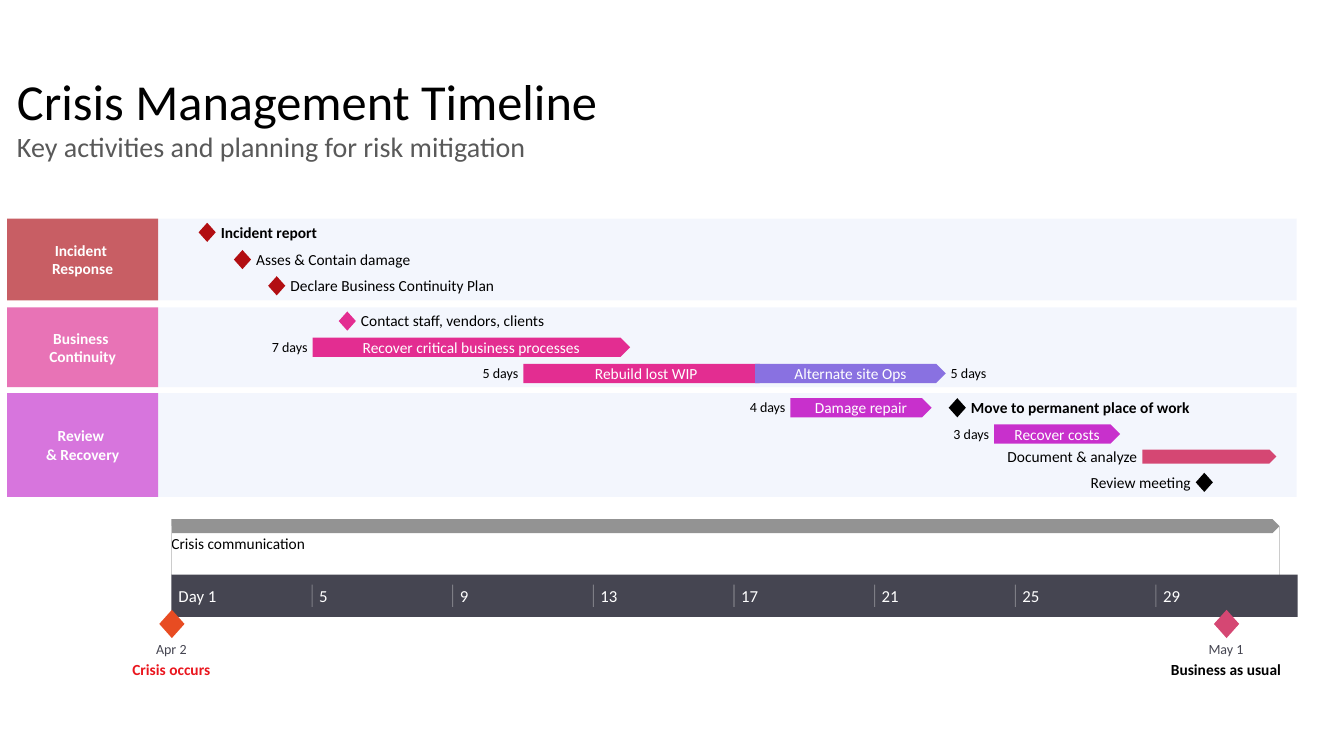
from dataclasses import dataclass

from lxml.etree import SubElement as sub
from pptx import Presentation as Deck
from pptx.dml.color import RGBColor as Rgb
from pptx.enum.shapes import MSO_CONNECTOR as Wire, MSO_SHAPE as Kind
from pptx.enum.text import MSO_ANCHOR as Anchor, PP_ALIGN as Align
from pptx.oxml.ns import qn
from pptx.util import Emu, Pt

PX = 9144  # 100 px to the inch
GAP = 5
LEFT, MID, RIGHT = Align.LEFT, Align.CENTER, Align.RIGHT


@dataclass(frozen=True)
class Theme:
    font: str = "Calibri"
    black: str = "000000"
    white: str = "FFFFFF"
    grey: str = "595959"
    slate: str = "454551"
    steel: str = "939393"
    rule: str = "CCCCCC"
    band: str = "91ACF1"
    red: str = "B20E12"
    pink: str = "E32D91"
    plum: str = "C830CC"
    blue: str = "8971E1"
    rose: str = "D54773"
    flame: str = "E84C22"
    alert: str = "EA161E"
    title: int = 36
    lead: int = 20
    axis: int = 12
    body: int = 11
    small: int = 10


T = Theme()


def emu(*nums):
    return [Emu(round(n * PX)) for n in nums]


def fade(fill, pct):
    """Set the opacity of a solid fill, in percent."""
    tint = fill._xPr.find(qn("a:solidFill"))[0]
    sub(tint, qn("a:alpha"), val=str(pct * 1000))


def draw(slide, kind, box, color, alpha=100):
    shape = slide.shapes.add_shape(kind, *emu(*box))
    shape.shadow.inherit = False
    shape.line.fill.background()
    shape.fill.solid()
    shape.fill.fore_color.rgb = Rgb.from_string(color)
    if alpha < 100:
        fade(shape.fill, alpha)
    return shape


def write(frame, words, size=T.body, color=T.black, bold=False, align=LEFT, wrap=True):
    """Fill a text frame without insets; a newline in words is a line break."""
    frame.word_wrap = wrap
    frame.vertical_anchor = Anchor.MIDDLE
    frame.margin_left = frame.margin_right = frame.margin_top = frame.margin_bottom = 0
    para = frame.paragraphs[0]
    para.alignment = align
    for num, line in enumerate(words.split("\n")):
        if num:
            para.add_line_break()
        run = para.add_run()
        run.text = line
        font = run.font
        font.name, font.size, font.bold = T.font, Pt(size), bold
        font.color.rgb = Rgb.from_string(color)


def label(slide, box, words, **style):
    frame = slide.shapes.add_textbox(*emu(*box)).text_frame
    write(frame, words, **style)
    return frame


def wire(slide, ends, color, alpha=100):
    line = slide.shapes.add_connector(Wire.STRAIGHT, *emu(*ends))
    line.line.width = Pt(0.75)
    line.line.color.rgb = Rgb.from_string(color)
    if alpha < 100:
        fade(line.line.fill, alpha)
    sub(line._element.spPr, qn("a:effectLst"))
    return line


def note(slide, box, words, side, size=T.body, bold=False):
    """Put words beside a box, to its LEFT or its RIGHT."""
    x, y, w, h = box
    wide = len(words) * 7 + 4
    left = x + w + GAP if side == RIGHT else x - GAP - wide
    align = LEFT if side == RIGHT else RIGHT
    label(slide, (left, y + h / 2 - 10, wide, 19), words, size=size, bold=bold, align=align)


def gem(slide, x, y, color, words, side=RIGHT, bold=False):
    box = x, y, 17, 19
    draw(slide, Kind.DIAMOND, box, color)
    note(slide, box, words, side, bold=bold)


def bar(slide, x, y, w, color, words="", h=19, aside="", side=LEFT, size=T.small):
    box = x, y, w, h
    shape = draw(slide, Kind.PENTAGON, box, color)
    if words:
        write(shape.text_frame, words, color=T.white, align=MID, wrap=False)
        # balances the point, which narrows the text area on the right
        shape.text_frame.margin_left = emu(h / 4)[0]
    if aside:
        note(slide, box, aside, side, size)


def lane(slide, box, name, color, parts):
    """A band with its name; each part is (maker, dx, dy, args, options)."""
    x, y, w, h = box
    draw(slide, Kind.RECTANGLE, box, T.band, 10)
    head = draw(slide, Kind.RECTANGLE, (x, y, 150, h), color, 65)
    write(head.text_frame, name, color=T.white, bold=True, align=MID)
    for make, dx, dy, args, opts in parts:
        make(slide, x + dx, y + dy, *args, **opts)


def event(slide, x, y, color, date, words, tone):
    """A large diamond centred on x, with its date and name below."""
    draw(slide, Kind.DIAMOND, (x - 12, y, 25, 28), color)
    label(slide, (x - 25, y + 30, 50, 17), date, size=T.small, color=T.slate, align=MID)
    label(slide, (x - 62, y + 49, 124, 19), words, color=tone, bold=True, align=MID)


def axis(slide, box):
    x, y, w, h = box
    span = draw(slide, Kind.PENTAGON, (x, y - 55, 1099, 14), T.steel)
    label(slide, (x, y - 41, 140, 19), "Crisis communication")
    for site, dx in ((1, 0), (3, 1099)):
        guide = wire(slide, (x + dx, y - 48, x + dx, y), T.rule)
        guide.begin_connect(span, site)
    draw(slide, Kind.RECTANGLE, box, T.slate)
    for num in range(8):
        left = x + num * 139.5
        if num:
            wire(slide, (left, y + 10, left, y + 32), T.white, 30)
        day = str(1 + 4 * num) if num else "Day 1"
        label(slide, (left + 7, y + 11, 45, 20), day, size=T.axis, color=T.white)
    event(slide, x, y + 35, T.flame, "Apr 2", "Crisis occurs", T.alert)
    event(slide, x + 1046, y + 35, T.rose, "May 1", "Business as usual", T.black)


def header(slide, box):
    x, y, w, h = box
    rows = ((0, 71, "Crisis Management Timeline", T.title, T.black),
            (59, 44, "Key activities and planning for risk mitigation", T.lead, T.grey))
    for dy, tall, words, size, color in rows:
        frame = label(slide, (x, y + dy, w, tall), words, size=size, color=color)
        frame.vertical_anchor = Anchor.TOP
        frame.margin_left, frame.margin_top = emu(10, 5)


LANES = (
    (217, 81, "Incident \nResponse", T.red, (
        (gem, 190, 4, (T.red, "Incident report"), {"bold": True}),
        (gem, 225, 31, (T.red, "Asses & Contain damage"), {}),
        (gem, 259, 57, (T.red, "Declare Business Continuity Plan"), {}))),
    (305, 79, "Business \nContinuity", T.pink, (
        (gem, 329, 4, (T.pink, "Contact staff, vendors, clients"), {}),
        (bar, 303, 30, (315, T.pink, "Recover critical business processes"),
         {"aside": "7 days"}),
        (bar, 512, 56, (244, T.pink, "Rebuild lost WIP"), {"aside": "5 days"}),
        (bar, 742, 56, (189, T.blue, "Alternate site Ops"),
         {"aside": "5 days", "side": RIGHT}))),
    (390, 103, "Review \n& Recovery", T.plum, (
        (bar, 777, 5, (140, T.plum, "Damage repair"), {"aside": "4 days"}),
        (gem, 934, 5, (T.black, "Move to permanent place of work"), {"bold": True}),
        (bar, 979, 31, (125, T.plum, "Recover costs"), {"aside": "3 days"}),
        (bar, 1126, 56, (133, T.rose),
         {"h": 14, "aside": "Document & analyze", "size": T.body}),
        (gem, 1179, 79, (T.black, "Review meeting"), {"side": LEFT}))),
)


def main():
    deck = Deck()
    deck.slide_width, deck.slide_height = emu(1333, 750)
    slide = deck.slides.add_slide(deck.slide_layouts[6])
    header(slide, (7, 65, 809, 103))
    for top, tall, name, color, parts in LANES:
        lane(slide, (7, top, 1279, tall), name, color, parts)
    axis(slide, (170, 570, 1117, 42))
    deck.save("out.pptx")


if __name__ == "__main__":
    main()
